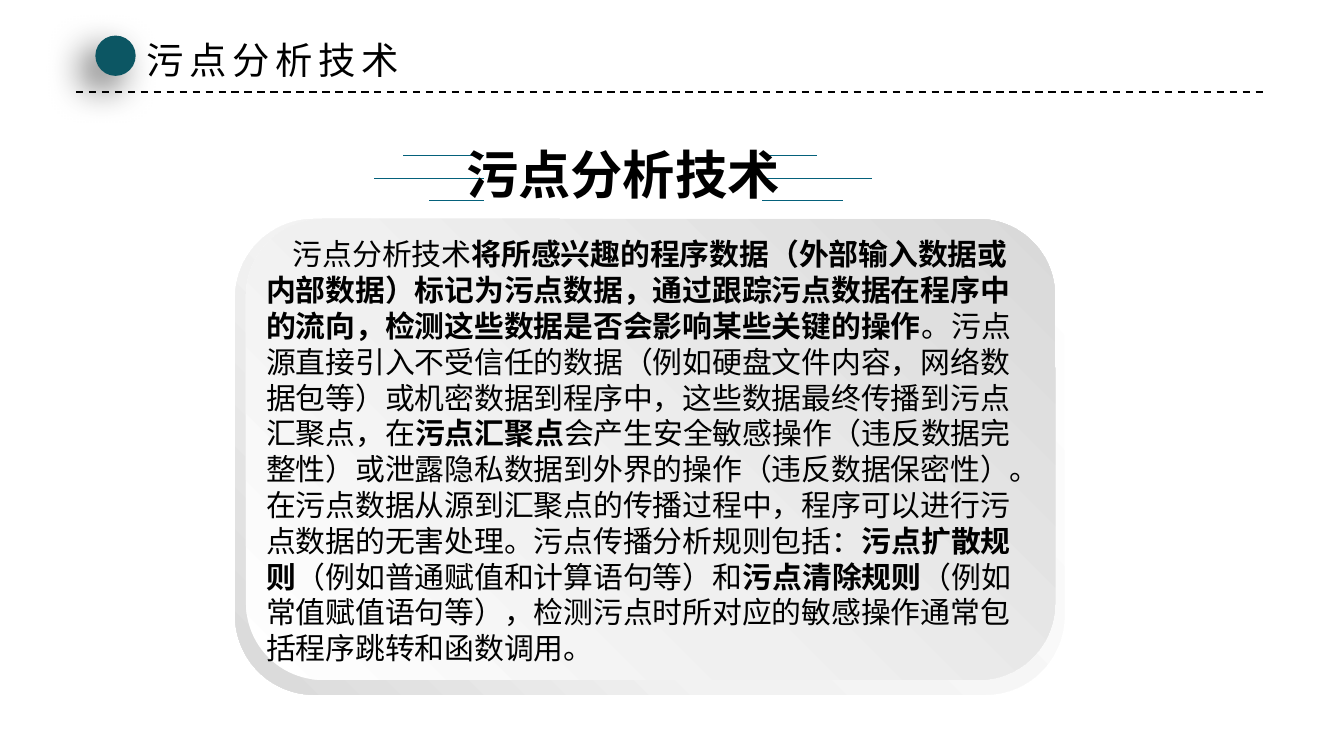
from lxml import etree
from pptx import Presentation
from pptx.dml.color import RGBColor
from pptx.enum.dml import MSO_LINE
from pptx.enum.shapes import MSO_CONNECTOR, MSO_SHAPE
from pptx.enum.text import MSO_ANCHOR, MSO_AUTO_SIZE, PP_ALIGN
from pptx.oxml import parse_xml
from pptx.oxml.ns import nsdecls, qn
from pptx.util import Pt

STRAIGHT = MSO_CONNECTOR.STRAIGHT
OVAL = MSO_SHAPE.OVAL
ROUNDED = MSO_SHAPE.ROUNDED_RECTANGLE
DASH = MSO_LINE.DASH
TOP = MSO_ANCHOR.TOP
NO_FIT = MSO_AUTO_SIZE.NONE
LEFT, CENTER = PP_ALIGN.LEFT, PP_ALIGN.CENTER

PX = 4572
THEME = {
    "font": "Noto Sans CJK SC",
    "text": "000000",
    "rule": "04617B",
    "dot": "0C5663",
    "light": "FFFFFF",
    "outer_mid": "F2F2F2",
    "inner_mid": "F0F0F0",
    "dark": "D9D9D9",
    "title": 20,
    "heading": 28,
    "body": 16,
}


def write_text(sp, box, runs, size, leading, align=LEFT, inset=0, wrap=True, spacing=0, indent=0):
    sp.left, sp.top, sp.width, sp.height = [v * PX for v in box]
    tf = sp.text_frame
    tf.margin_left = tf.margin_right = 2 * inset * PX
    tf.margin_top = tf.margin_bottom = inset * PX
    tf.word_wrap = wrap
    tf.auto_size = NO_FIT
    tf.vertical_anchor = TOP
    p = tf.paragraphs[0]
    p.alignment = align
    p.line_spacing = Pt(leading)
    p.space_before = Pt(0)
    pPr = p._p.get_or_add_pPr()
    pPr.set("marL", "0")
    pPr.set("indent", str(indent * PX))
    etree.SubElement(pPr, qn("a:buNone"))
    for text, bold in runs:
        r = p.add_run()
        r.text = text
        r.font.size = Pt(size)
        r.font.bold = bold
        r.font.name = THEME["font"]
        r.font.color.rgb = RGBColor.from_string(THEME["text"])
        rPr = r._r.get_or_add_rPr()
        rPr.set("spc", str(spacing * 100))
        etree.SubElement(rPr, qn("a:ea")).set("typeface", THEME["font"])


def add_line(s, x1, x2, y, color, width):
    line = s.shapes.add_connector(STRAIGHT, x1 * PX, y * PX, x2 * PX, y * PX)
    line.line.color.rgb = RGBColor.from_string(color)
    line.line.width = Pt(width)
    etree.SubElement(line._element.spPr, qn("a:effectLst"))
    return line


prs = Presentation()
prs.slide_width, prs.slide_height = 2000 * PX, 1125 * PX
s = prs.slides.add_slide(prs.slide_layouts[1])
title, body = s.placeholders

for y, outer_left, outer_right in [(265, 556, 1298), (232, 600, 1216), (298, 638, 1254)]:
    add_line(s, 720, outer_left, y, THEME["rule"], 0.5)
    add_line(s, 1134, outer_right, y, THEME["rule"], 0.5)
add_line(s, 113, 1887, 137, THEME["text"], 1).line.dash_style = DASH

dot = s.shapes.add_shape(OVAL, 142 * PX, 53 * PX, 60 * PX, 60 * PX)
dot.fill.solid()
dot.fill.fore_color.rgb = RGBColor.from_string(THEME["dot"])
dot.line.fill.background()
dot._element.spPr.append(parse_xml(
    f'<a:effectLst {nsdecls("a")}><a:outerShdw blurRad="{Pt(20)}" dist="{Pt(10)}" '
    f'dir="8100000" algn="tr" rotWithShape="0"><a:srgbClr val="{THEME["text"]}">'
    '<a:alpha val="60000"/></a:srgbClr></a:outerShdw></a:effectLst>'))

for box, mid, stop, angle in [
    ((350, 326, 1234, 708), THEME["outer_mid"], 62, 135),
    ((366, 326, 1204, 686), THEME["inner_mid"], 42, 315),
]:
    panel = s.shapes.add_shape(ROUNDED, *[v * PX for v in box])
    panel.shadow.inherit = False
    panel.line.fill.background()
    stops = "".join(
        f'<a:gs pos="{pos * 1000}"><a:srgbClr val="{color}"/></a:gs>'
        for pos, color in [(0, THEME["light"]), (stop, mid), (100, THEME["dark"])])
    panel._element.spPr.insert(2, parse_xml(
        f'<a:gradFill {nsdecls("a")} rotWithShape="1"><a:gsLst>{stops}</a:gsLst>'
        f'<a:lin ang="{angle * 60000}" scaled="0"/></a:gradFill>'))

s.shapes._spTree.append(body._element)
write_text(body, (396, 351, 1142, 672), [
    ("污点分析技术", False),
    ("将所感兴趣的程序数据（外部输入数据或内部数据）标记为污点数据，通过跟踪污点数据在程序中的流向，检测这些数据是否会影响某些关键的操作", True),
    ("。污点源直接引入不受信任的数据（例如硬盘文件内容，网络数据包等）或机密数据到程序中，这些数据最终传播到污点汇聚点，在", False),
    ("污点汇聚点", True),
    ("会产生安全敏感操作（违反数据完整性）或泄露隐私数据到外界的操作（违反数据保密性）。在污点数据从源到汇聚点的传播过程中，程序可以进行污点数据的无害处理。污点传播分析规则包括：", False),
    ("污点扩散规则", True),
    ("（例如普通赋值和计算语句等）和", False),
    ("污点清除规则", True),
    ("（例如常值赋值语句等），检测污点时所对应的敏感操作通常包括程序跳转和函数调用。", False),
], THEME["body"], 19.2, indent=40)

heading = s.shapes.add_textbox(0, 0, PX, PX)
write_text(heading, (640, 212, 574, 94), [("污点分析技术", True)], THEME["heading"], 33.6, align=CENTER)

s.shapes._spTree.append(title._element)
write_text(title, (198, 46, 428, 88), [("污点分析技术", False)], THEME["title"], 24,
           inset=10, wrap=False, spacing=3)

prs.save("out.pptx")
